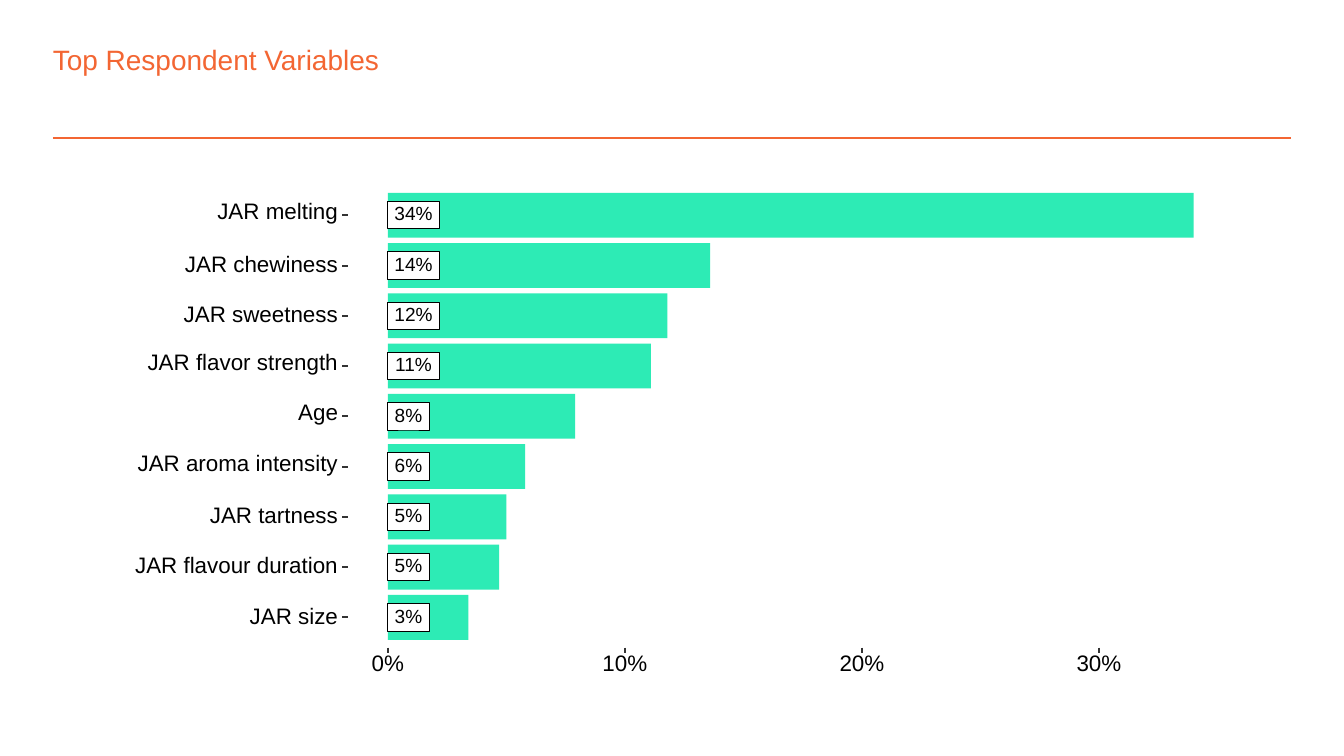
from dataclasses import dataclass

from pptx import Presentation
from pptx.dml.color import RGBColor
from pptx.enum.shapes import MSO_CONNECTOR, MSO_SHAPE
from pptx.enum.text import MSO_ANCHOR, PP_ALIGN
from pptx.oxml.ns import qn
from pptx.util import Cm, Pt

STRAIGHT = MSO_CONNECTOR.STRAIGHT
RECTANGLE = MSO_SHAPE.RECTANGLE
MIDDLE = MSO_ANCHOR.MIDDLE
LEFT, CENTER, RIGHT = PP_ALIGN.LEFT, PP_ALIGN.CENTER, PP_ALIGN.RIGHT


@dataclass(frozen=True)
class Theme:
    font: str = "Arial"
    accent: str = "F36633"
    bar: str = "2DEBB5"
    tag: str = "FFFFFF"
    ink: str = "000000"
    tick: str = "333333"
    title_size: float = 15
    label_size: float = 12
    tag_size: float = 10.2
    rule_width: float = 1
    tick_width: float = 1.07
    tag_border: float = 0.53


VARIABLES = [
    ("JAR melting", 34.0, 2.4),
    ("JAR chewiness", 13.6, 3),
    ("JAR sweetness", 11.8, 3),
    ("JAR flavor strength", 11.1, 3.7),
    ("Age", 7.9, 0.85),
    ("JAR aroma intensity", 5.8, 3.9),
    ("JAR tartness", 5.0, 2.5),
    ("JAR flavour duration", 4.7, 3.95),
    ("JAR size", 3.4, 1.8),
]
ORIGIN_X = 7.33
AXIS_STEP = 10
CM_PER_STEP = 4.48
FIRST_ROW_Y = 4.07
ROW_PITCH = 0.95
BAR_HEIGHT = 0.85
TAG_HEIGHT = 0.52
LABEL_RIGHT = 6.39
TICK_X = 6.47
AXIS_Y = 12.24
TICK_LENGTH = 0.1


def bar_length(percent):
    return percent / AXIS_STEP * CM_PER_STEP


def write_text(frame, text, *, font, size, color, align=LEFT, exact=True):
    frame.margin_left = frame.margin_right = 0
    frame.margin_top = frame.margin_bottom = 0
    frame.word_wrap = False
    frame.vertical_anchor = MIDDLE
    paragraph = frame.paragraphs[0]
    paragraph.text = text
    paragraph.alignment = align
    if exact:
        paragraph.line_spacing = Pt(size)
    paragraph.font.name = font
    paragraph.font.size = Pt(size)
    paragraph.font.color.rgb = RGBColor.from_string(color)


class SlideBuilder:
    def __init__(self, slide, theme):
        self.slide = slide
        self.theme = theme

    def text(self, x, y, width, height, content, **style):
        box = self.slide.shapes.add_textbox(Cm(x), Cm(y), Cm(width), Cm(height))
        style = {"size": self.theme.label_size, "color": self.theme.ink, **style}
        write_text(box.text_frame, content, font=self.theme.font, **style)

    def line(self, x1, y1, x2, y2, color, width):
        stroke = self.slide.shapes.add_connector(
            STRAIGHT, Cm(x1), Cm(y1), Cm(x2), Cm(y2))
        stroke.line.color.rgb = RGBColor.from_string(color)
        stroke.line.width = Pt(width)
        properties = stroke._element.spPr
        properties.append(properties.makeelement(qn("a:effectLst"), {}))

    def rectangle(self, x, y, width, height, fill):
        block = self.slide.shapes.add_shape(
            RECTANGLE, Cm(x), Cm(y), Cm(width), Cm(height))
        block.shadow.inherit = False
        block.fill.solid()
        block.fill.fore_color.rgb = RGBColor.from_string(fill)
        block.line.fill.background()
        return block

    def tag(self, x, y, width, height, content):
        theme = self.theme
        block = self.rectangle(x, y, width, height, theme.tag)
        block.line.color.rgb = RGBColor.from_string(theme.ink)
        block.line.width = Pt(theme.tag_border)
        write_text(block.text_frame, content, font=theme.font,
                   size=theme.tag_size, color=theme.ink, align=CENTER)

    def tick(self, x1, y1, x2, y2):
        self.line(x1, y1, x2, y2, self.theme.tick, self.theme.tick_width)


def add_header(builder):
    theme = builder.theme
    builder.line(1, 2.61, 24.4, 2.61, theme.accent, theme.rule_width)
    builder.text(1, 0.8, 21.06, 0.64, "Top Respondent Variables",
                 size=theme.title_size, color=theme.accent, exact=False)


def add_variable(builder, row, name, value, label_width):
    center = FIRST_ROW_Y + row * ROW_PITCH
    builder.rectangle(ORIGIN_X, center - BAR_HEIGHT / 2,
                      bar_length(value), BAR_HEIGHT, builder.theme.bar)
    share = f"{value:.0f}%"
    tag_width = 0.97 if len(share) == 3 else 0.78
    builder.tag(ORIGIN_X, center - TAG_HEIGHT / 2, tag_width, TAG_HEIGHT, share)
    has_descender = any(letter in name for letter in "gy")
    label_height = 0.38 if has_descender else 0.3
    builder.text(LABEL_RIGHT - label_width, center + 0.15 - label_height,
                 label_width, label_height, name, align=RIGHT)
    builder.tick(TICK_X, center, TICK_X + TICK_LENGTH, center)


def add_axis(builder):
    for percent in range(0, 40, AXIS_STEP):
        x = ORIGIN_X + bar_length(percent)
        width = 0.95 if percent else 0.7
        builder.tick(x, AXIS_Y, x, AXIS_Y + TICK_LENGTH)
        builder.text(x - width / 2, 12.4, width, 0.33, f"{percent}%", align=CENTER)


def main():
    deck = Presentation()
    deck.slide_width, deck.slide_height = Cm(25.4), Cm(14.29)
    builder = SlideBuilder(deck.slides.add_slide(deck.slide_layouts[6]), Theme())
    add_header(builder)
    for row, variable in enumerate(VARIABLES):
        add_variable(builder, row, *variable)
    add_axis(builder)
    deck.save("out.pptx")


if __name__ == "__main__":
    main()
